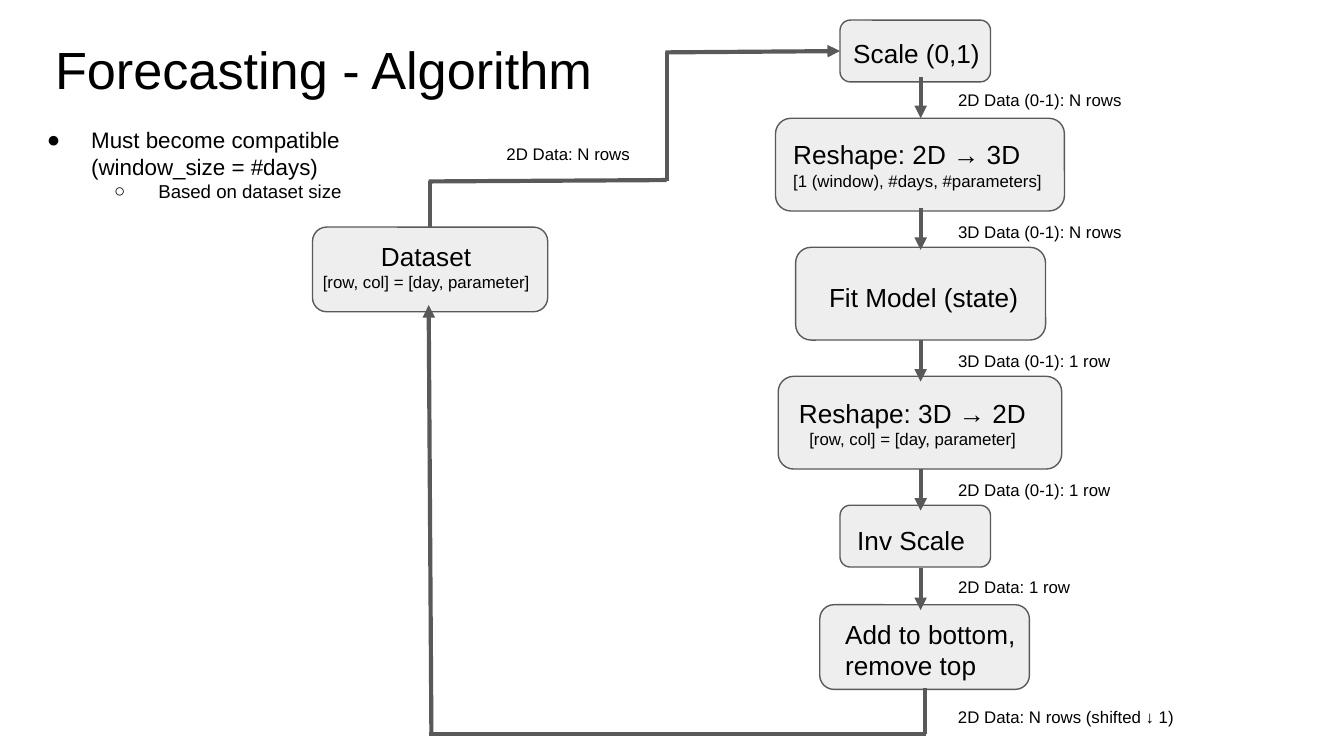
from lxml import etree
from pptx import Presentation
from pptx.dml.color import RGBColor
from pptx.enum.shapes import MSO_CONNECTOR, MSO_SHAPE
from pptx.enum.text import MSO_ANCHOR, MSO_AUTO_SIZE, PP_ALIGN
from pptx.oxml.ns import qn
from pptx.util import Inches, Pt

LEFT, CENTER = PP_ALIGN.LEFT, PP_ALIGN.CENTER
TOP, MIDDLE = MSO_ANCHOR.TOP, MSO_ANCHOR.MIDDLE
ROUNDED, STRAIGHT = MSO_SHAPE.ROUNDED_RECTANGLE, MSO_CONNECTOR.STRAIGHT
BLACK = RGBColor(0x00, 0x00, 0x00)
GRAY = RGBColor(0x59, 0x59, 0x59)
PALE = RGBColor(0xEE, 0xEE, 0xEE)
UNIT = Inches(0.1)  # one column or row of the grid, 100 columns wide

deck = Presentation()
deck.slide_width = Inches(10)
deck.slide_height = deck.slide_width * 9 // 16
slide = deck.slides.add_slide(deck.slide_layouts[5])


def grid(*cells):
    return [round(cell * UNIT) for cell in cells]


def write(shape, *lines, align=LEFT, anchor=TOP, first_inset=0):
    """Fill a shape with lines, each a pair of text and size."""
    frame = shape.text_frame
    frame.word_wrap = True
    frame.auto_size = MSO_AUTO_SIZE.NONE
    frame.vertical_anchor = anchor
    frame.margin_left = frame.margin_right = UNIT
    frame.margin_top = frame.margin_bottom = UNIT
    for number, (text, size) in enumerate(lines):
        paragraph = frame.add_paragraph() if number else frame.paragraphs[0]
        paragraph.alignment = align
        run = paragraph.add_run()
        run.text = text
        run.font.size, run.font.name = Pt(size), "Arial"
        run.font.color.rgb = BLACK
    if first_inset:
        first = frame.paragraphs[0]._p.get_or_add_pPr()
        first.set("marR", str(round(first_inset * UNIT)))
    return frame


# Title
title = slide.shapes.title
title.left, title.top, title.width, title.height = grid(3.1, 1.8, 45.8, 6.3)
write(title, ("Forecasting - Algorithm", 28))

# Steps: box, separate label area (None when the text sits in the box),
# alignment, right inset of the first line, lines
steps = [
    ((23.25, 16.9, 17.5, 6.3), (22, 16.9, 19.9, 3.9), CENTER, 0.5,
     [("Dataset", 14), ("[row, col] = [day, parameter]", 9)]),
    ((62.5, 1.5, 11.2, 4.6), (62.5, 1.8, 11.9, 3.9), LEFT, 0,
     [("Scale (0,1)", 14)]),
    ((57.7, 8.8, 21.5, 6.9), None, LEFT, 0,
     [("Reshape: 2D → 3D", 14), ("[1 (window), #days, #parameters]", 9)]),
    ((59.2, 18.4, 18.6, 6.9), (60.7, 19.9, 19.9, 3.9), LEFT, 0,
     [("Fit Model (state)", 14)]),
    ((57.9, 28, 21.1, 6.9), None, CENTER, 1.1,
     [("Reshape: 3D → 2D", 14), ("[row, col] = [day, parameter]", 9)]),
    ((62.5, 37.6, 11.2, 4.6), (62.8, 38, 11.9, 3.9), LEFT, 0,
     [("Inv Scale", 14)]),
    ((61, 45, 15.6, 6.3), (61.9, 45, 19.9, 3.9), LEFT, 0,
     [("Add to bottom, remove top", 14)]),
]
for box, label_area, align, inset, lines in steps:
    step = slide.shapes.add_shape(ROUNDED, *grid(*box))
    step.shadow.inherit = False
    step.fill.solid()
    step.fill.fore_color.rgb = PALE
    step.line.color.rgb, step.line.width = GRAY, Pt(0.75)
    label = slide.shapes.add_textbox(*grid(*label_area)) if label_area else step
    write(label, *lines, align=align, anchor=TOP if label_area else MIDDLE,
          first_inset=inset)

# Flow: start, end, arrowhead
flow = [
    (68.8, 51.2, 68.8, 54.6, False),
    (31.9, 54.6, 68.9, 54.6, False),
    (32.1, 54.6, 31.9, 22.7, True),
    (31.9, 13.5, 49.6, 13.4, False),
    (32, 13.5, 32, 16.9, False),
    (49.6, 13.5, 49.6, 3.9, False),
    (49.5, 3.9, 62.5, 3.8, True),
]
flow += [(68.5, start, 68.5, start + 3.1, True)
         for start in (5.7, 15.5, 25.3, 34.9, 42.3)]
for *ends, has_arrow in flow:
    link = slide.shapes.add_connector(STRAIGHT, *grid(*ends))
    link.line.color.rgb, link.line.width = GRAY, Pt(2.25)
    if has_arrow:
        etree.SubElement(link.line._get_or_add_ln(), qn("a:tailEnd"), type="triangle")
    etree.SubElement(link._element.spPr, qn("a:effectLst"))

# Data passed between the steps
passed_data = [
    (70.3, 5.7, 14.5, "2D Data (0-1): N rows"),
    (70.3, 15.5, 14.5, "3D Data (0-1): N rows"),
    (70.3, 25.1, 14.5, "3D Data (0-1): 1 row"),
    (70.3, 34.7, 14.5, "2D Data (0-1): 1 row"),
    (70.3, 41.9, 14.5, "2D Data: 1 row"),
    (70.3, 51.6, 18.6, "2D Data: N rows (shifted ↓ 1)"),
    (36.7, 9.7, 14.5, "2D Data: N rows"),
]
for left, top, width, text in passed_data:
    write(slide.shapes.add_textbox(*grid(left, top, width, 3.1)), (text, 9))

# Bulleted note
note = write(slide.shapes.add_textbox(*grid(0.8, 8.4, 27.1, 36.8)),
             ("Must become compatible (window_size = #days)", 12),
             ("Based on dataset size", 10))
for level, (paragraph, mark) in enumerate(zip(note.paragraphs, "●○")):
    paragraph.level = level
    properties = paragraph._p.get_or_add_pPr()
    properties.set("marL", str(Inches(0.5 * (level + 1))))
    properties.set("indent", str(-Inches(0.33)))
    etree.SubElement(properties, qn("a:buFont"), typeface="Arial")
    etree.SubElement(properties, qn("a:buChar"), char=mark)

deck.save("out.pptx")
